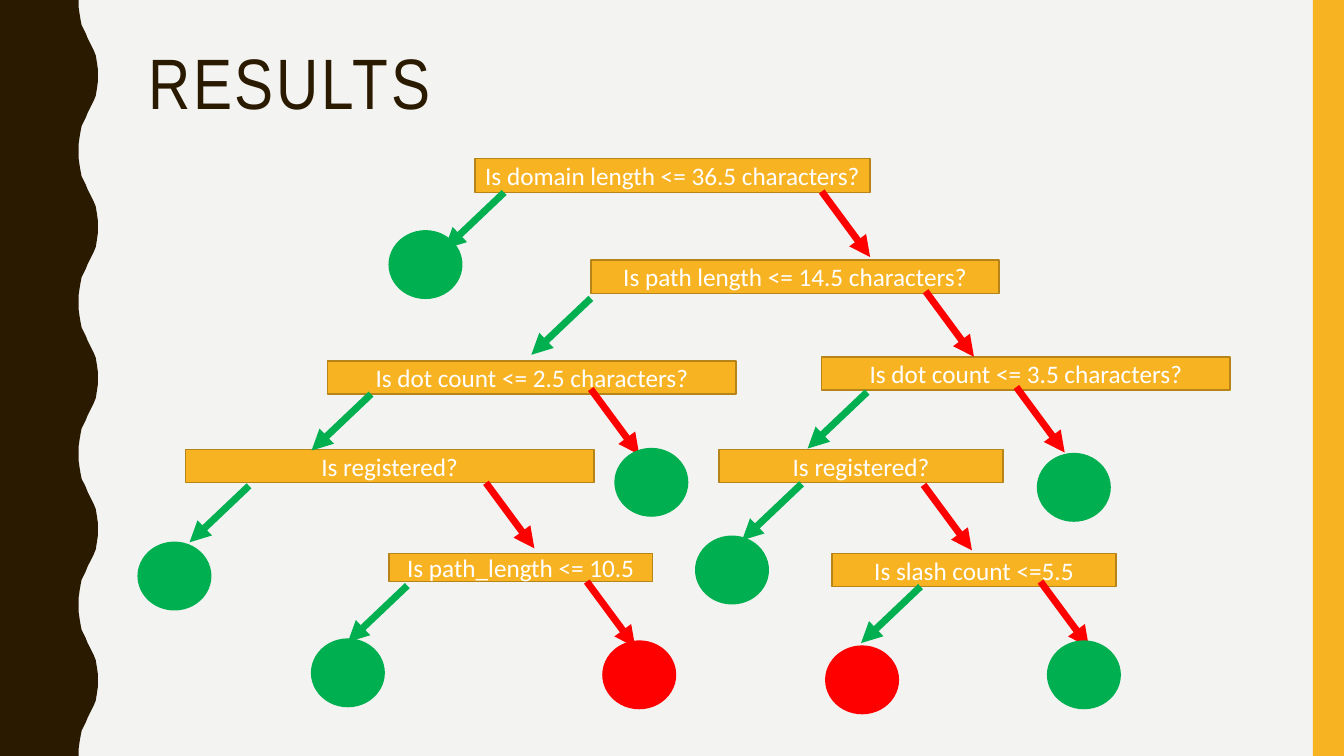
from dataclasses import dataclass

from lxml.etree import SubElement
from pptx import Presentation
from pptx.dml.color import RGBColor
from pptx.enum.shapes import MSO_CONNECTOR as Connector, MSO_SHAPE as Shape
from pptx.enum.text import MSO_ANCHOR as Anchor, MSO_AUTO_SIZE as AutoSize, PP_ALIGN as Align
from pptx.oxml.ns import qn
from pptx.util import Inches, Pt


@dataclass(frozen=True)
class Theme:
    paper: str = "F3F3F2"
    dark: str = "2A1A00"
    amber: str = "F8B323"
    amber_edge: str = "B7841A"
    yes: str = "00B050"
    no: str = "FF0000"
    white: str = "FFFFFF"
    title_font: str = "Arial Narrow"
    body_font: str = "Calibri"
    title_size: int = 51
    body_size: int = 18
    title_spacing: int = 200
    edge_width: int = 1
    arrow_width: int = 5


PAGE_WIDTH, PAGE_HEIGHT = 13.33, 7.5

# One crest-to-trough half of the wavy border; the other half mirrors it.
HALF_WAVE = [(0.78, 0), (0.78, 0.07), (0.79, 0.14), (0.8, 0.2), (0.81, 0.25),
             (0.83, 0.29), (0.85, 0.33), (0.87, 0.38), (0.89, 0.42), (0.91, 0.46),
             (0.93, 0.5), (0.95, 0.55), (0.96, 0.61), (0.97, 0.68), (0.97, 0.75)]
WAVE_PERIOD, WAVE_COUNT = 1.5, 5

# left, top, width, height, wording
QUESTIONS = [
    (4.71, 1.57, 3.92, 0.34, "Is domain length <= 36.5 characters?"),
    (5.86, 2.58, 4.05, 0.33, "Is path length <= 14.5 characters?"),
    (3.25, 3.58, 4.05, 0.33, "Is dot count <= 2.5 characters?"),
    (8.15, 3.54, 4.05, 0.33, "Is dot count <= 3.5 characters?"),
    (1.84, 4.46, 4.05, 0.33, "Is registered?"),
    (7.13, 4.46, 2.82, 0.33, "Is registered?"),
    (3.86, 5.49, 2.61, 0.28, "Is path_length <= 10.5"),
    (8.25, 5.49, 2.82, 0.33, "Is slash count <=5.5"),
]

# Every branch of one answer has the same run and drop.
YES_STEP, NO_STEP = (-0.59, 0.56), (0.48, 0.65)
YES_STARTS = [(5, 1.91), (5.86, 2.96), (3.68, 3.91), (2.47, 4.82),
              (4.04, 5.81), (8.6, 3.89), (7.95, 4.8), (9.13, 5.82)]
NO_STARTS = [(8.15, 1.9), (9.18, 2.89), (5.86, 3.86), (4.82, 4.79),
             (5.82, 5.77), (10.08, 3.84), (9.16, 4.81), (10.32, 5.77)]

LEAF_WIDTH, LEAF_HEIGHT = 0.72, 0.67
GREEN_LEAVES = [(3.86, 2.29), (6.1, 4.45), (3.09, 6.34), (1.37, 5.38),
                (10.29, 4.5), (6.9, 5.32), (10.39, 6.36)]
RED_LEAVES = [(5.98, 6.36), (8.19, 6.41)]


class TreePage:
    """Holds the theme and the slide on which the decision tree is drawn."""

    def __init__(self, deck, theme):
        self.theme = theme
        self.page = deck.slides.add_slide(deck.slide_layouts[5])
        self.fill(self.page.background, theme.paper)

    def fill(self, target, color):
        target.fill.solid()
        target.fill.fore_color.rgb = RGBColor.from_string(color)

    def add_span(self, para, text, font, size, color):
        span = para.add_run()
        span.text = text
        span.font.name = font
        span.font.size = Pt(size)
        span.font.color.rgb = RGBColor.from_string(color)
        return span

    def title(self, text, left, top, width, height):
        box = self.page.shapes.title
        box.left, box.top = Inches(left), Inches(top)
        box.width, box.height = Inches(width), Inches(height)
        frame = box.text_frame
        frame.auto_size = AutoSize.NONE
        frame.vertical_anchor = Anchor.TOP
        para = frame.paragraphs[0]
        para.alignment = Align.LEFT
        para.line_spacing = 0.9
        span = self.add_span(para, text, self.theme.title_font,
                             self.theme.title_size, self.theme.dark)
        span.font._element.set("spc", str(self.theme.title_spacing))

    def wave_border(self):
        outline = []
        for index in range(WAVE_COUNT):
            start = index * WAVE_PERIOD
            outline += [(x, start + y) for x, y in HALF_WAVE]
            outline += [(x, start + WAVE_PERIOD - y) for x, y in reversed(HALF_WAVE[:-1])]
        outline.append((0, PAGE_HEIGHT))
        builder = self.page.shapes.build_freeform(0, 0)
        builder.add_line_segments([(Inches(x), Inches(y)) for x, y in outline], close=True)
        border = builder.convert_to_shape()
        border.shadow.inherit = False
        self.fill(border, self.theme.dark)
        border.line.fill.background()

    def block(self, kind, left, top, width, height, color, edge=None):
        shape = self.page.shapes.add_shape(
            kind, Inches(left), Inches(top), Inches(width), Inches(height))
        shape.shadow.inherit = False
        self.fill(shape, color)
        if edge:
            shape.line.color.rgb = RGBColor.from_string(edge)
            shape.line.width = Pt(self.theme.edge_width)
        else:
            shape.line.fill.background()
        return shape

    def question(self, left, top, width, height, text):
        box = self.block(Shape.RECTANGLE, left, top, width, height,
                         self.theme.amber, self.theme.amber_edge)
        frame = box.text_frame
        frame.word_wrap = True
        frame.vertical_anchor = Anchor.MIDDLE
        frame.margin_left = frame.margin_right = Inches(0.05)
        para = frame.paragraphs[0]
        para.alignment = Align.CENTER
        self.add_span(para, text, self.theme.body_font,
                      self.theme.body_size, self.theme.white)

    def leaf(self, left, top, color):
        self.block(Shape.OVAL, left, top, LEAF_WIDTH, LEAF_HEIGHT, color, color)

    def arrow(self, start, step, color):
        (x, y), (run, drop) = start, step
        arrow = self.page.shapes.add_connector(
            Connector.STRAIGHT, Inches(x), Inches(y), Inches(x + run), Inches(y + drop))
        arrow.line.color.rgb = RGBColor.from_string(color)
        arrow.line.width = Pt(self.theme.arrow_width)
        SubElement(arrow.line._get_or_add_ln(), qn("a:tailEnd"), type="triangle")
        SubElement(arrow._element.spPr, qn("a:effectLst"))


def main():
    deck = Presentation()
    deck.slide_width, deck.slide_height = Inches(PAGE_WIDTH), Inches(PAGE_HEIGHT)
    theme = Theme()
    tree = TreePage(deck, theme)

    tree.wave_border()
    tree.block(Shape.RECTANGLE, 13.02, 0, 0.31, PAGE_HEIGHT, theme.amber)
    tree.title("RESULTS", 1.37, 0.42, 11.13, 1.63)

    for question in QUESTIONS:
        tree.question(*question)
    for starts, step, color in [(YES_STARTS, YES_STEP, theme.yes),
                                (NO_STARTS, NO_STEP, theme.no)]:
        for start in starts:
            tree.arrow(start, step, color)
    for leaves, color in [(GREEN_LEAVES, theme.yes), (RED_LEAVES, theme.no)]:
        for left, top in leaves:
            tree.leaf(left, top, color)

    deck.save("out.pptx")


if __name__ == "__main__":
    main()
